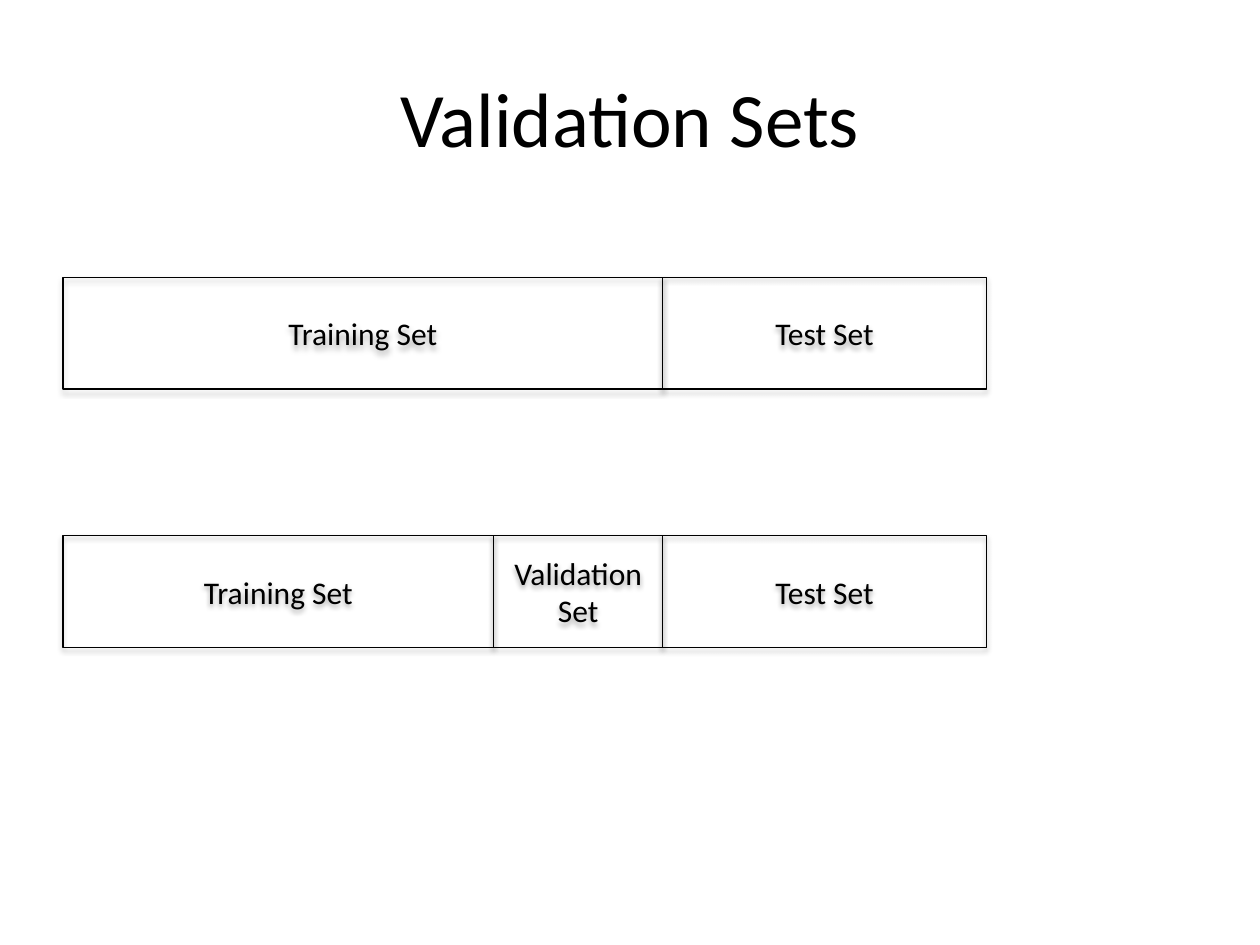
from lxml import etree
from pptx import Presentation
from pptx.dml.color import RGBColor
from pptx.enum.shapes import MSO_SHAPE
from pptx.enum.text import MSO_ANCHOR, PP_ALIGN
from pptx.oxml.ns import qn
from pptx.util import Pt

RECTANGLE = MSO_SHAPE.RECTANGLE
MIDDLE = MSO_ANCHOR.MIDDLE
CENTER = PP_ALIGN.CENTER
TITLE_ONLY = 5

BLACK = "000000"
TITLE_FONT = {"name": "Calibri", "size": Pt(44)}
LABEL_FONT = {"name": "Calibri", "size": Pt(18)}
SHADOW = {"blurRad": Pt(3.15), "dist": Pt(1.81), "dir": 90 * 60000, "rotWithShape": 0}
SHADOW_OPACITY = 35

BAR_LEFT, BAR_HEIGHT = 36, 64
TRAIN_WIDTH, VALIDATION_WIDTH, TEST_WIDTH = 246.2, 96.5, 185
BARS = [
    (158.4, [("Training Set", TRAIN_WIDTH + VALIDATION_WIDTH), ("Test Set", TEST_WIDTH)]),
    (306, [("Training Set", TRAIN_WIDTH), ("Validation Set", VALIDATION_WIDTH),
           ("Test Set", TEST_WIDTH)]),
]


def color(hex_value):
    return RGBColor.from_string(hex_value)


def write_text(shape, text, font_format):
    frame = shape.text_frame
    frame.word_wrap = True
    frame.vertical_anchor = MIDDLE
    paragraph = frame.paragraphs[0]
    paragraph.alignment = CENTER
    run = paragraph.add_run()
    run.text = text
    for name, value in font_format.items():
        setattr(run.font, name, value)
    run.font.color.rgb = color(BLACK)


def add_shadow(shape):
    shape.shadow.inherit = False
    effects = shape._element.spPr.find(qn("a:effectLst"))
    outer = etree.SubElement(effects, qn("a:outerShdw"))
    for name, value in SHADOW.items():
        outer.set(name, str(value))
    shade = etree.SubElement(outer, qn("a:srgbClr"), val=BLACK)
    etree.SubElement(shade, qn("a:alpha"), val=str(SHADOW_OPACITY * 1000))


def place_title(slide, text, left, top, width, height):
    title = slide.shapes.title
    title.left, title.top, title.width, title.height = map(Pt, (left, top, width, height))
    write_text(title, text, TITLE_FONT)


def add_split_bar(slide, segments, left, top, height):
    """Draw the data sets side by side, each starting where the last one ends."""
    for text, width in segments:
        shape = slide.shapes.add_shape(RECTANGLE, Pt(left), Pt(top), Pt(width), Pt(height))
        shape.fill.background()
        shape.line.color.rgb = color(BLACK)
        shape.line.width = Pt(0.75)
        add_shadow(shape)
        write_text(shape, text, LABEL_FONT)
        left += width


def main():
    presentation = Presentation()
    presentation.slide_width, presentation.slide_height = Pt(720), Pt(540)
    slide = presentation.slides.add_slide(presentation.slide_layouts[TITLE_ONLY])
    place_title(slide, "Validation Sets", 36, 21.6, 648, 90)
    for top, segments in BARS:
        add_split_bar(slide, segments, BAR_LEFT, top, BAR_HEIGHT)
    presentation.save("out.pptx")


if __name__ == "__main__":
    main()
